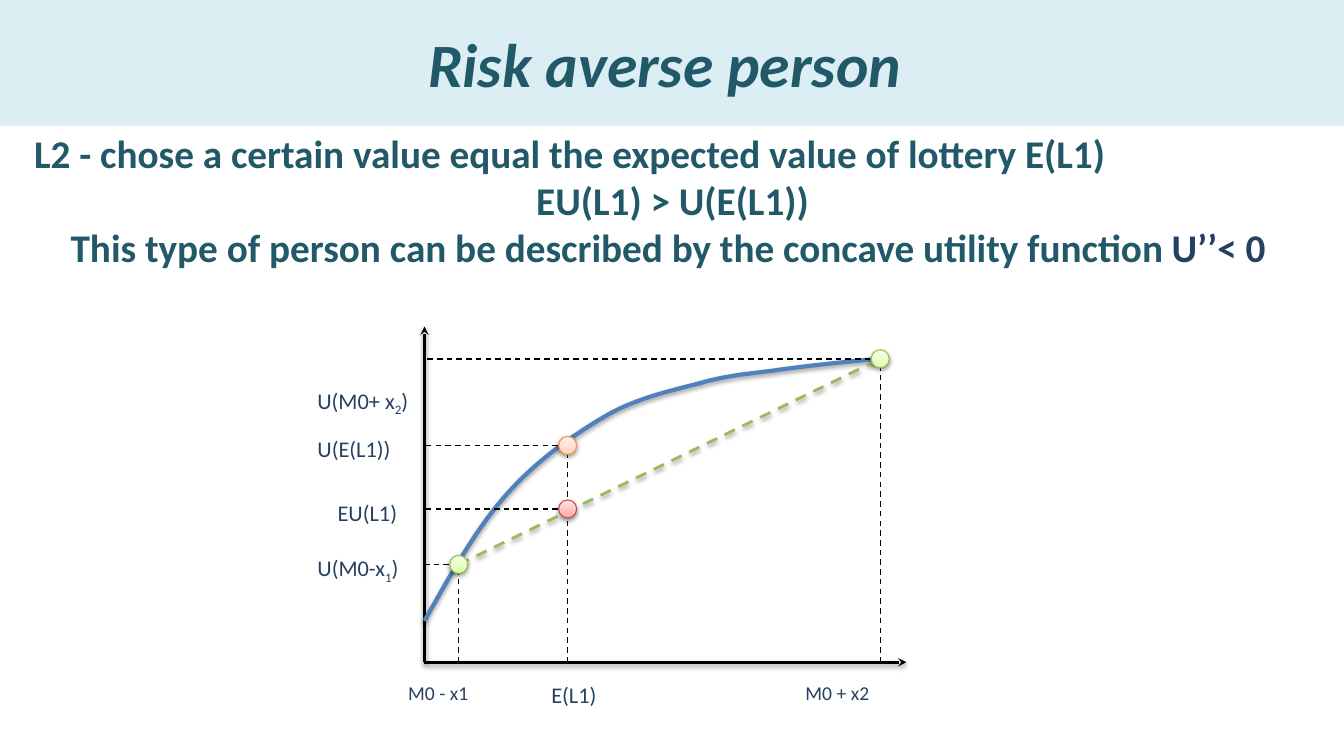
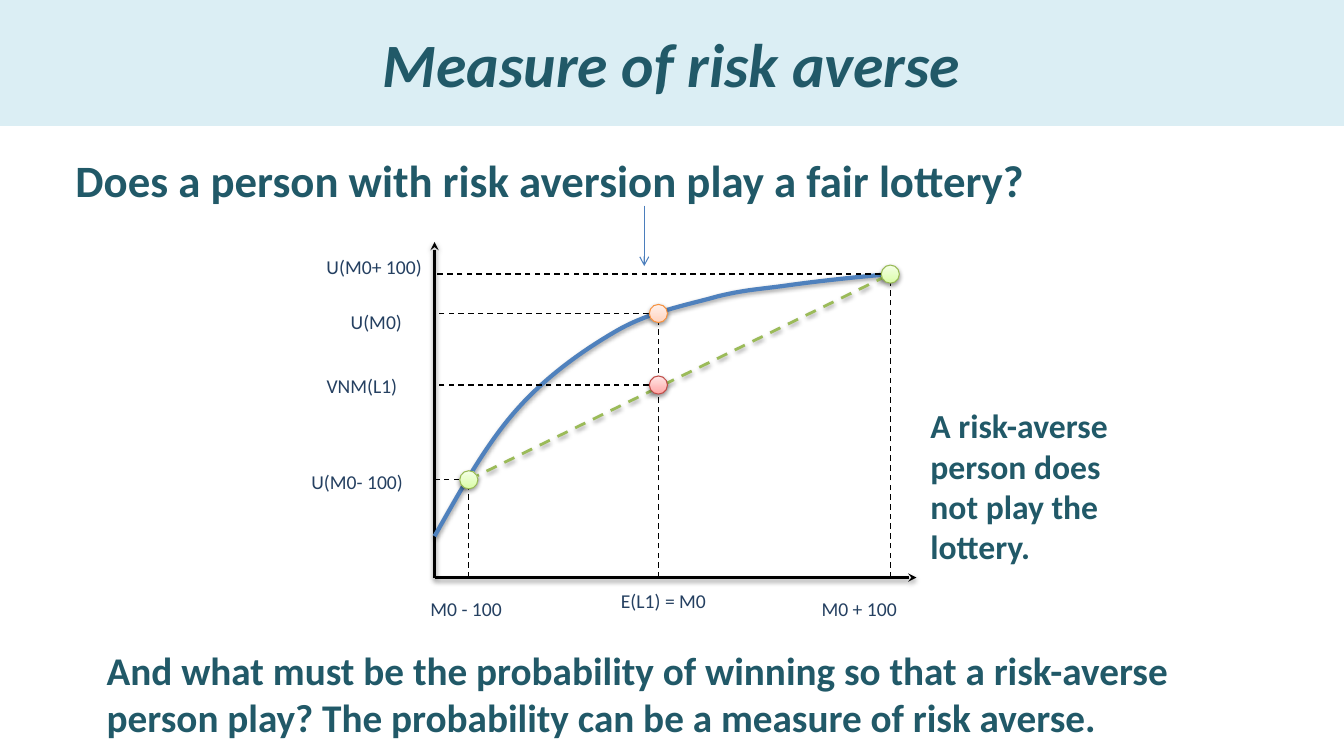
import pptx
import pptx.dml.color
import pptx.enum.dml
import pptx.enum.shapes
import pptx.enum.text
import pptx.oxml
import pptx.oxml.ns
import pptx.util
from lxml import etree

Inches = pptx.util.Inches
Pt = pptx.util.Pt
RGBColor = pptx.dml.color.RGBColor
qn = pptx.oxml.ns.qn
LEFT = pptx.enum.text.PP_ALIGN.LEFT
CENTER = pptx.enum.text.PP_ALIGN.CENTER
SHAPES = pptx.enum.shapes.MSO_SHAPE

BAND = RGBColor(0xDB, 0xEE, 0xF4)
TEAL = RGBColor(0x21, 0x59, 0x68)
NAVY = RGBColor(0x25, 0x40, 0x61)
BLACK = RGBColor(0, 0, 0)
CURVE_BLUE = RGBColor(0x4F, 0x81, 0xBD)
ARROW_BLUE = RGBColor(0x4B, 0x7E, 0xBC)
CHORD_GREEN = RGBColor(0x9B, 0xBB, 0x59)
GREEN_DOT = (RGBColor(0xDA, 0xFD, 0xA7), RGBColor(0xF5, 0xFF, 0xE7), RGBColor(0x98, 0xB9, 0x55))
ORANGE_DOT = (RGBColor(0xFF, 0xD2, 0xBD), RGBColor(0xFF, 0xF2, 0xED), RGBColor(0xF6, 0x92, 0x40))
RED_DOT = (RGBColor(0xFF, 0xA6, 0xA5), RGBColor(0xFF, 0xE7, 0xE7), RGBColor(0xBF, 0x4C, 0x48))

TITLE = {"name": "Calibri", "size": Pt(44), "bold": True, "italic": True, "color": TEAL}
BODY = {"name": "Calibri", "size": Pt(28), "bold": True, "color": TEAL}
LABEL = {"name": "Calibri", "size": Pt(14), "color": NAVY}
SUBSCRIPT = {"baseline": "-25000"}

CURVE_START = (0, 260)
CURVE_SEGMENTS = [
    [(26, 214), (51, 169), (81, 135)],
    [(111, 101), (148, 75), (181, 56)],
    [(214, 37), (253, 30), (281, 22)],
    [(310, 15), (323, 15), (351, 11)],
    [(380, 7), (416, 3), (452, 0)],
]
LOW_X, LOW_Y, HIGH_X = 0.34, 2.04, 4.52
AXIS_TOP, AXIS_BOTTOM, AXIS_RIGHT = -0.32, 3.01, 4.78
DOT = 0.18

SLIDES = [
    {
        "title": "Risk averse person ",
        "origin": (4.21, 3.56),
        "expected": (1.42, 0.86, 1.49),
        "texts": [
            ((0.24, 1.23, 12.86, 1.51), 28, [
                (LEFT, [("L2 - chose a certain value equal the expected value of lottery E(L1)", {})]),
                (CENTER, [("EU(L1) > U(E(L1))", {})]),
                (CENTER, [
                    ("This type of person can be described by the concave utility function ", {}),
                    ("U’’< 0 ", {"color": NAVY}),
                ]),
            ]),
        ],
        "labels": [
            (3.05, 3.79, 1.5, 16, [("U(M0+ x", {}), ("2", SUBSCRIPT), (")", {})]),
            (3.05, 4.27, 1.21, 16, [("U(E(L1))", {})]),
            (3.25, 4.9, 1.05, 16, [("EU(L1)", {})]),
            (3.05, 5.45, 1.21, 16, [("U(M0-x", {}), ("1", SUBSCRIPT), (")", {})]),
            (3.95, 6.71, 1.28, 14, [("M0 - x1", {})]),
            (5.37, 6.71, 1.26, 16, [("E(L1)", {})]),
            (7.89, 6.71, 1.42, 14, [("M0 + x2", {})]),
        ],
        "arrows": [],
    },
    {
        "title": "Measure of risk averse",
        "origin": (4.31, 2.72),
        "expected": (2.22, 0.39, 1.1),
        "texts": [
            ((0.65, 1.47, 10.27, 0.64), 32,
             [(LEFT, [("Does a person with risk aversion play a fair lottery?", {})])]),
            ((9.13, 3.97, 2.05, 1.72), 24,
             [(LEFT, [("A risk-averse person does not play the lottery.", {})])]),
            ((0.96, 6.36, 11.82, 1.04), 28,
             [(LEFT, [("And what must be the probability of winning so that a risk-averse person play? "
                       "The probability can be a measure of risk averse.", {})])]),
        ],
        "labels": [
            (3.14, 2.48, 1.5, 14, [("U(M0+ 100)", {})]),
            (3.38, 3.03, 0.79, 14, [("U(M0)", {})]),
            (3.14, 3.66, 1.05, 14, [("VNM(L1)", {})]),
            (2.99, 4.61, 1.26, 14, [("U(M0- 100)", {})]),
            (4.17, 5.87, 1.28, 14, [("M0 - 100", {})]),
            (6.06, 5.79, 1.42, 14, [("E(L1) = M0", {})]),
            (8.05, 5.87, 1.51, 14, [("M0 + 100", {})]),
        ],
        "arrows": [(6.39, 2.04, 6.39, 2.64)],
    },
]


def write_text(shape, paragraphs, style):
    frame = shape.text_frame
    frame.word_wrap = True
    for index, (alignment, runs) in enumerate(paragraphs):
        paragraph = frame.paragraphs[0] if index == 0 else frame.add_paragraph()
        paragraph.alignment = alignment
        for text, extra in runs:
            run = paragraph.add_run()
            run.text = text
            for name, value in {**style, **extra}.items():
                if name == "color":
                    run.font.color.rgb = value
                elif name == "baseline":
                    run._r.get_or_add_rPr().set(name, value)
                else:
                    setattr(run.font, name, value)


def add_line(slide, ends, color, width, dashed=False, head=None):
    connector = slide.shapes.add_connector(
        pptx.enum.shapes.MSO_CONNECTOR.STRAIGHT, *[Inches(value) for value in ends])
    connector.line.color.rgb = color
    connector.line.width = Pt(width)
    if dashed:
        connector.line.dash_style = pptx.enum.dml.MSO_LINE.DASH
    if head:
        etree.SubElement(connector.line._get_or_add_ln(), qn("a:tailEnd"), type=head)
    etree.SubElement(connector._element.spPr, qn("a:effectLst"))
    return connector


presentation = pptx.Presentation()
presentation.slide_width = Inches(13.33)
presentation.slide_height = Inches(7.5)

for content in SLIDES:
    slide = presentation.slides.add_slide(presentation.slide_layouts[6])
    left, top = content["origin"]
    expected_x, certain_y, lottery_y = content["expected"]
    bottom = top + AXIS_BOTTOM

    band = slide.shapes.add_shape(SHAPES.RECTANGLE, 0, 0, presentation.slide_width, Inches(1.25))
    band.shadow.inherit = False
    band.fill.solid()
    band.fill.fore_color.rgb = BAND
    band.line.fill.background()
    band.text_frame.vertical_anchor = pptx.enum.text.MSO_ANCHOR.MIDDLE
    write_text(band, [(CENTER, [(content["title"], {})])], TITLE)

    shadowed = []
    for end in [(left, top + AXIS_TOP), (left + AXIS_RIGHT, bottom)]:
        shadowed.append(add_line(slide, (left, bottom, *end), BLACK, 2, head="stealth"))

    builder = slide.shapes.build_freeform(*CURVE_START, scale=Inches(0.01))
    builder.add_line_segments([segment[-1] for segment in CURVE_SEGMENTS], close=False)
    curve = builder.convert_to_shape(Inches(left), Inches(top))
    for element, segment in zip(list(curve._element.iter(qn("a:lnTo"))), CURVE_SEGMENTS):
        element.tag = qn("a:cubicBezTo")
        for position, (x, y) in enumerate(segment[:2]):
            element.insert(position, element.makeelement(qn("a:pt"), {"x": str(x), "y": str(y)}))
    curve.fill.background()
    curve.line.color.rgb = CURVE_BLUE
    curve.line.width = Pt(3)
    curve.shadow.inherit = False
    shadowed.append(curve)

    for x, y in [(LOW_X, LOW_Y), (expected_x, certain_y), (HIGH_X, 0)]:
        add_line(slide, (left + x, bottom, left + x, top + y), BLACK, 1, dashed=True)
        add_line(slide, (left + x, top + y, left, top + y), BLACK, 1, dashed=True)
    add_line(slide, (left + expected_x, top + lottery_y, left, top + lottery_y), BLACK, 1, dashed=True)
    chord = (left + LOW_X, top + LOW_Y, left + HIGH_X, top)
    shadowed.append(add_line(slide, chord, CHORD_GREEN, 2, dashed=True))

    for x, y, colors in [
        (HIGH_X, 0, GREEN_DOT),
        (LOW_X, LOW_Y, GREEN_DOT),
        (expected_x, certain_y, ORANGE_DOT),
        (expected_x, lottery_y, RED_DOT),
    ]:
        dot = slide.shapes.add_shape(
            SHAPES.OVAL, Inches(left + x - DOT / 2), Inches(top + y - DOT / 2), Inches(DOT), Inches(DOT))
        dot.fill.gradient()
        dot.fill.gradient_angle = 90
        for stop, color in zip(dot.fill.gradient_stops, colors):
            stop.color.rgb = color
        dot.line.color.rgb = colors[-1]
        dot.line.width = Pt(0.75)
        dot.shadow.inherit = False
        shadowed.append(dot)

    for shape in shadowed:
        effects = shape._element.spPr.find(qn("a:effectLst"))
        shadow = etree.SubElement(
            effects, qn("a:outerShdw"), blurRad="40000", dist="20000", dir="5400000", rotWithShape="0")
        shadow_color = etree.SubElement(shadow, qn("a:srgbClr"), val="000000")
        etree.SubElement(shadow_color, qn("a:alpha"), val="38000")

    for ends in content["arrows"]:
        add_line(slide, ends, ARROW_BLUE, 0.75, head="arrow")

    blocks = [(box, paragraphs, {**BODY, "size": Pt(size)}) for box, size, paragraphs in content["texts"]]
    for x, y, width, size, runs in content["labels"]:
        blocks.append(((x, y, width, 0.35), [(LEFT, runs)], {**LABEL, "size": Pt(size)}))
    for box, paragraphs, style in blocks:
        text_box = slide.shapes.add_textbox(*[Inches(value) for value in box])
        text_box.text_frame.auto_size = pptx.enum.text.MSO_AUTO_SIZE.SHAPE_TO_FIT_TEXT
        write_text(text_box, paragraphs, style)

presentation.save("out.pptx")
